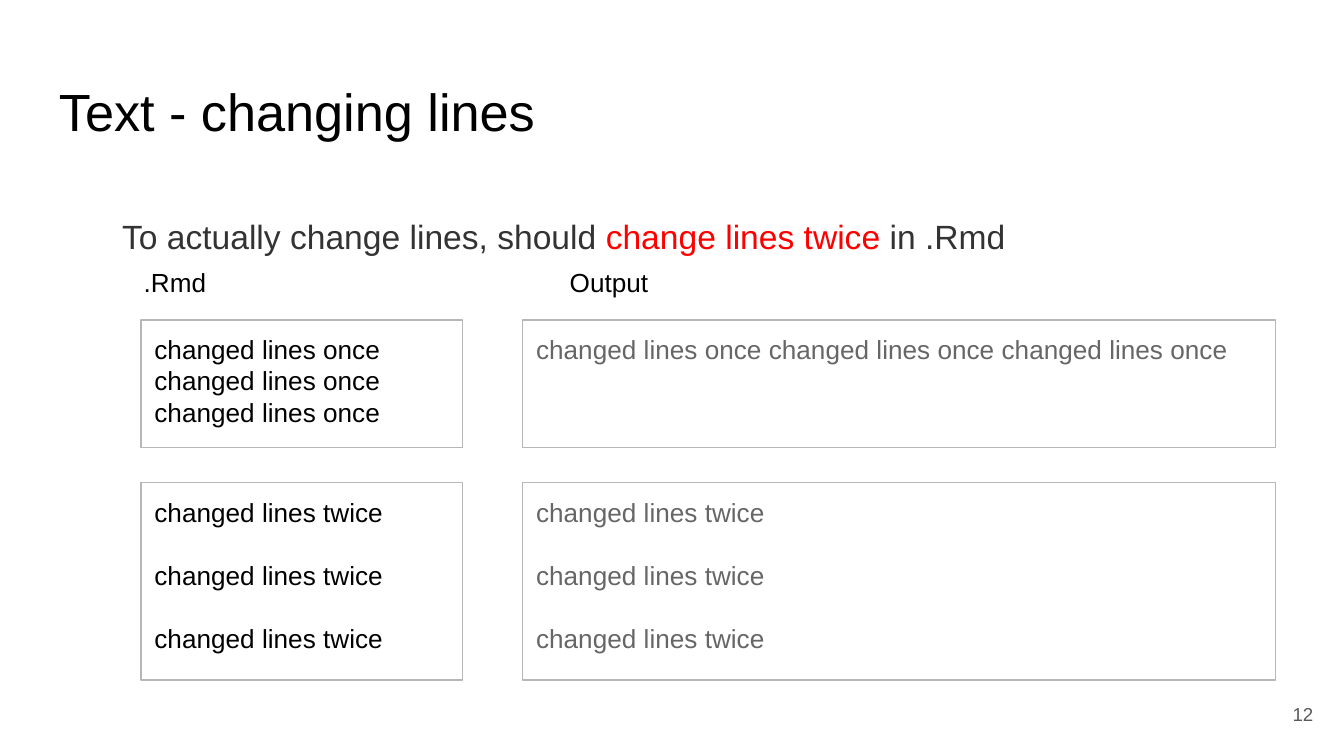
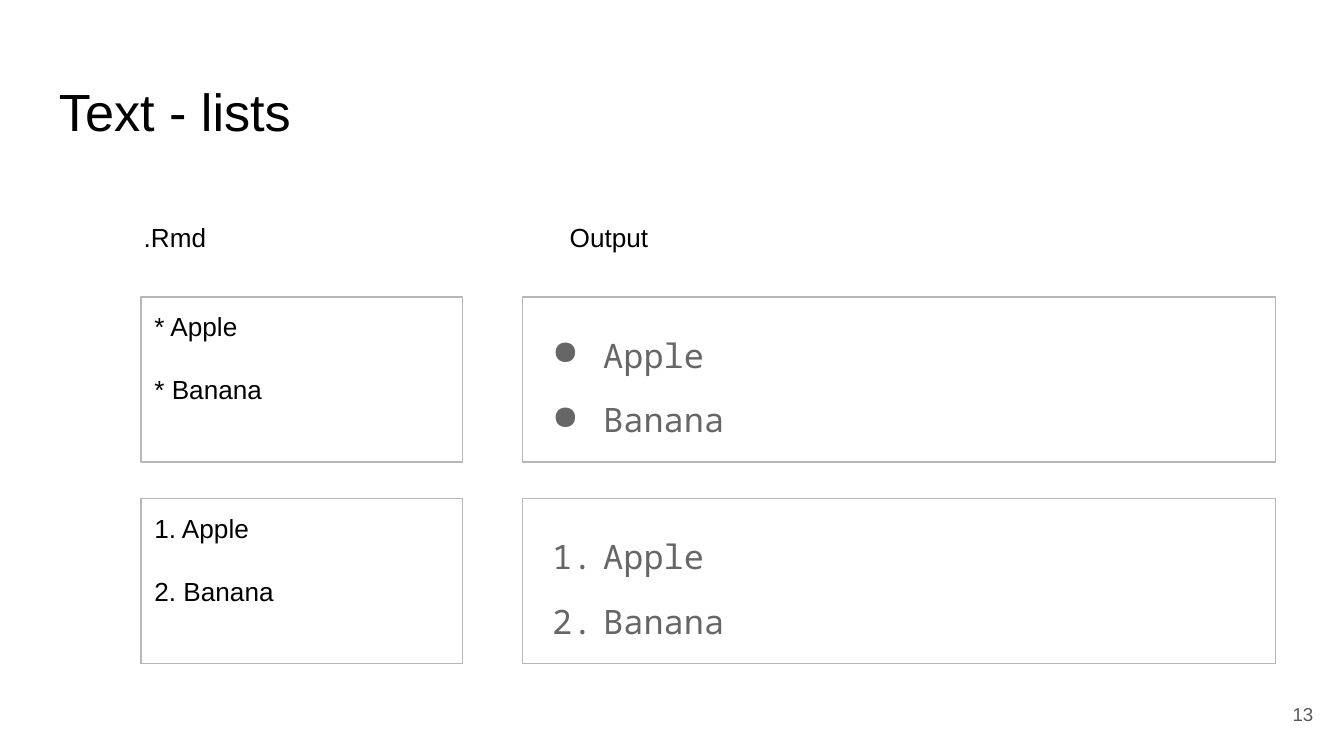
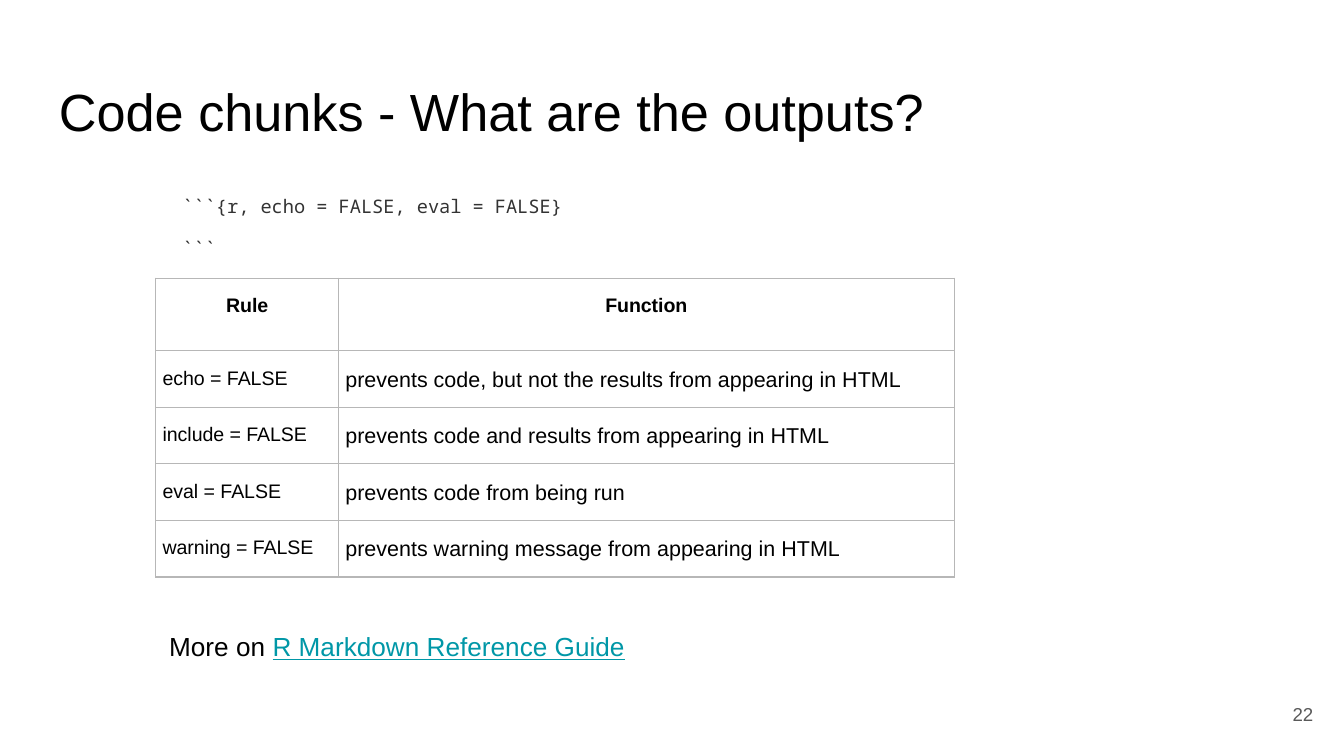
import pptx
import pptx.util
import pptx.dml.color
import pptx.enum.shapes
import pptx.enum.text
import pptx.oxml
import pptx.oxml.ns
from lxml import etree

Inches, Pt = pptx.util.Inches, pptx.util.Pt
PP_ALIGN = pptx.enum.text.PP_ALIGN
ANCHOR = pptx.enum.text.MSO_ANCHOR

SANS, MONO = "Arial", "Noto Sans Mono"
BLACK, DARK, GREY, NUMBER = "000000", "333333", "666666", "595959"
RED, TEAL, RULE, WHITE = "FF0000", "0097A7", "B7B7B7", "FFFFFF"

# Shared columns, in grid units: left edge and width
SOURCE_COL, OUTPUT_COL = (10.5, 23.9), (38.9, 56)


def color(value):
    return pptx.dml.color.RGBColor.from_string(value)


def add_xml(parent, tag, **attrs):
    el = etree.SubElement(parent, pptx.oxml.ns.qn(tag))
    for name, value in attrs.items():
        el.set(name, str(value))
    return el


class Deck:
    """Style and current slide; lengths are grid units, 100 across the slide."""

    def __init__(self):
        self.prs = pptx.Presentation()
        self.prs.slide_width, self.prs.slide_height = Inches(10), Inches(5.625)
        self.unit = self.prs.slide_width // 100
        self.s = None

    def grid(self, *lengths):
        return [round(n * self.unit) for n in lengths]

    def slide(self, title, number):
        self.s = self.prs.slides.add_slide(self.prs.slide_layouts[6])
        self.s.background.fill.solid()
        self.s.background.fill.fore_color.rgb = color(WHITE)
        self.text((3.4, 4.9, 93.2, 6.3), [title], size=28)
        self.text((92.7, 51, 6, 4.3), [str(number)], size=10, ink=NUMBER,
                  align=PP_ALIGN.RIGHT, anchor=ANCHOR.MIDDLE)

    def runs(self, p, parts, size=14, ink=BLACK, font=SANS, bold=False):
        """Parts are a string, or (text, colour, underline) tuples."""
        if isinstance(parts, str):
            parts = [(parts, ink, False)]
        for text, run_ink, underline in parts:
            r = p.add_run()
            r.text = text
            r.font.size, r.font.name, r.font.bold = Pt(size), font, bold
            r.font.color.rgb = color(run_ink)
            if underline:
                r.font.underline = True

    def fill_text(self, tf, lines, align=PP_ALIGN.LEFT, anchor=ANCHOR.TOP,
                  spacing=None, gap=0, indent=0, bullet=None, **style):
        tf.word_wrap, tf.vertical_anchor = True, anchor
        tf.margin_left = tf.margin_right = Inches(0.1)
        tf.margin_top = tf.margin_bottom = Inches(0.1)
        for i, line in enumerate(lines):
            p = tf.add_paragraph() if i else tf.paragraphs[0]
            p.alignment = align
            if spacing:
                p.line_spacing = spacing
            if i and gap:
                p.space_before = Pt(gap)
            if indent:
                p._p.get_or_add_pPr().set("marL", str(self.grid(indent)[0]))
            if bullet:
                self.bullet(p, bullet, style["ink"])
            self.runs(p, line, **style)

    def bullet(self, p, bullet, ink):
        pPr = p._p.get_or_add_pPr()
        pPr.set("indent", str(self.grid(-3.8)[0]))
        add_xml(add_xml(pPr, "a:buClr"), "a:srgbClr", val=ink)
        if bullet == "1.":
            add_xml(pPr, "a:buAutoNum", type="arabicPeriod")
        else:
            add_xml(pPr, "a:buChar", char=bullet)

    def text(self, area, lines, **style):
        sp = self.s.shapes.add_textbox(*self.grid(*area))
        self.fill_text(sp.text_frame, lines, **style)

    def panel(self, column, top, height, lines, **style):
        left, width = column
        sp = self.s.shapes.add_shape(pptx.enum.shapes.MSO_SHAPE.RECTANGLE,
                                     *self.grid(left, top, width, height))
        sp.shadow.inherit = False
        sp.fill.background()
        sp.line.color.rgb, sp.line.width = color(RULE), Pt(0.75)
        self.fill_text(sp.text_frame, lines, **style)

    def headings(self, top):
        for left, label in ((9.7, ".Rmd"), (41.4, "Output")):
            self.text((left, top, 29.1, 3.9), [label])

    def table(self, left, top, cols, rows, data):
        frame = self.s.shapes.add_table(
            len(rows), len(cols), *self.grid(left, top, sum(cols), sum(rows)))
        tbl = frame.table
        tbl.first_row = tbl.horz_banding = False
        for column, width in zip(tbl.columns, self.grid(*cols)):
            column.width = width
        for row, height in zip(tbl.rows, self.grid(*rows)):
            row.height = height
        for i, values in enumerate(data):
            for j, value in enumerate(values):
                self.cell(tbl.cell(i, j), value, header=i == 0,
                          size=11.5 if i and j else 10.5)

    def cell(self, cell, value, header, size):
        cell.margin_left = cell.margin_right = Inches(0.05)
        cell.margin_top = cell.margin_bottom = Inches(0.1)
        p = cell.text_frame.paragraphs[0]
        p.alignment = PP_ALIGN.CENTER if header else PP_ALIGN.LEFT
        p.line_spacing = 1.15
        self.runs(p, value, size=size, bold=header)
        tcPr = cell._tc.get_or_add_tcPr()
        for side in ("a:lnL", "a:lnR", "a:lnT", "a:lnB"):
            ln = add_xml(tcPr, side, w=Pt(0.75))
            add_xml(add_xml(ln, "a:solidFill"), "a:srgbClr", val=RULE)
        cell.fill.solid()
        cell.fill.fore_color.rgb = color(WHITE)


def changing_lines(deck):
    deck.slide("Text - changing lines", 12)
    deck.text((8.1, 12.6, 88.5, 5.3),
              [[("To actually change lines, should", DARK, False),
                (" change lines twice", RED, False),
                (" in .Rmd", DARK, False)]], size=18, spacing=1.83)
    deck.headings(18.8)
    once, twice = "changed lines once", "changed lines twice"
    deck.panel(SOURCE_COL, 23.8, 9.5, [once] * 3)
    deck.panel(OUTPUT_COL, 23.8, 9.5, [" ".join([once] * 3)], ink=GREY)
    for column, ink in ((SOURCE_COL, BLACK), (OUTPUT_COL, GREY)):
        deck.panel(column, 35.9, 14.7, [twice] * 3, ink=ink, gap=17)


def lists(deck):
    deck.slide("Text - lists", 13)
    deck.headings(15.5)
    fruits = ["Apple", "Banana"]
    examples = (("●", ["* Apple", "* Banana"]), ("1.", ["1. Apple", "2. Banana"]))
    for i, (bullet, source) in enumerate(examples):
        top = 22.1 + 15 * i
        deck.panel(SOURCE_COL, top, 12.3, source, gap=17)
        deck.panel(OUTPUT_COL, top, 12.3, fruits, size=18, ink=GREY, font=MONO,
                   spacing=1.6, indent=5, bullet=bullet)


def code_chunks(deck):
    deck.slide("Code chunks - What are the outputs?", 22)
    rules = [
        ("Rule", "Function"),
        ("echo = FALSE", "prevents code, but not the results from appearing in HTML"),
        ("include = FALSE", "prevents code and results from appearing in HTML"),
        ("eval = FALSE", "prevents code from being run"),
        ("warning = FALSE", "prevents warning message from appearing in HTML"),
    ]
    deck.table(11.6, 20.7, [13.6, 45.8], [5.4] + [4.13] * 4, rules)
    deck.text((11.6, 45.9, 56.1, 5.1),
              [[("More on ", BLACK, False),
                ("R Markdown Reference Guide", TEAL, True)]])
    deck.text((11.6, 11.8, 33.6, 9.9),
              ["```{r, echo = FALSE, eval = FALSE}", "```"], size=10, ink=DARK,
              font=MONO, anchor=ANCHOR.MIDDLE, spacing=1.2, gap=8, indent=1)


def main():
    deck = Deck()
    changing_lines(deck)
    lists(deck)
    code_chunks(deck)
    deck.prs.save("out.pptx")


if __name__ == "__main__":
    main()
